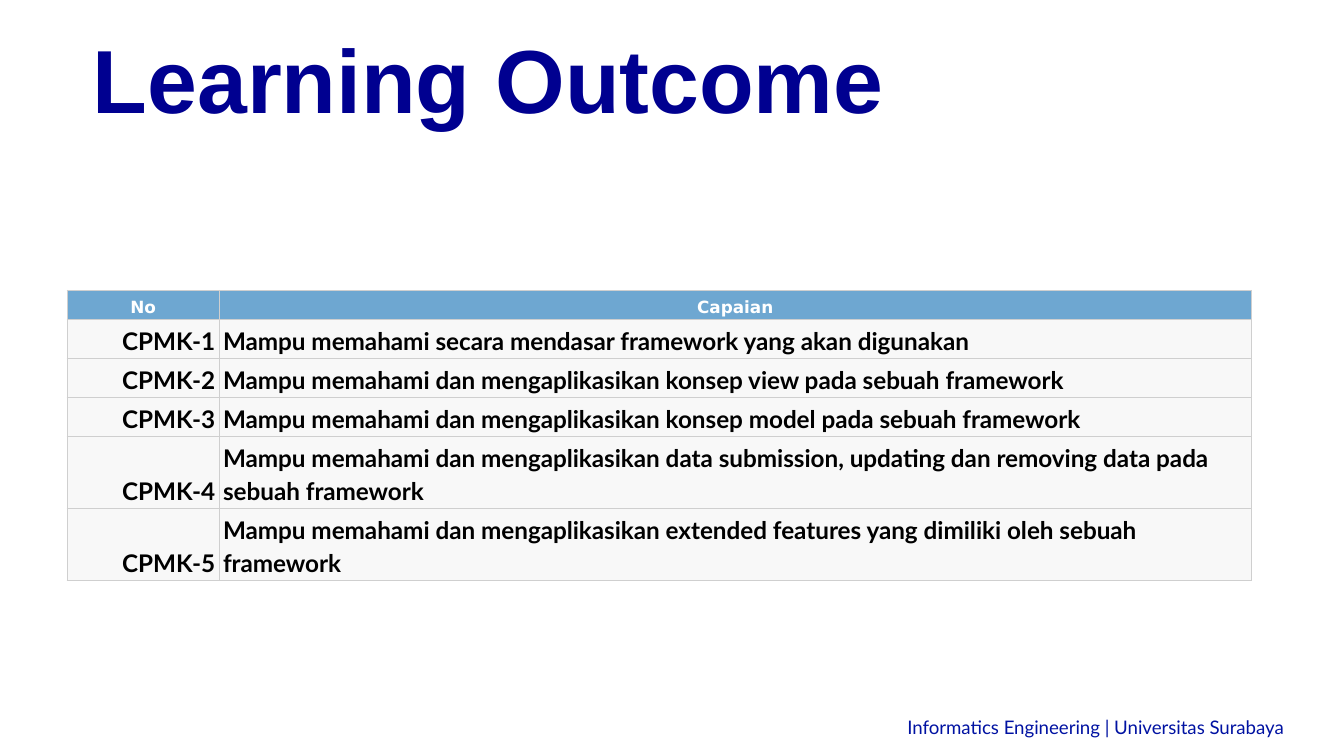
from lxml.etree import SubElement
from pptx import Presentation
from pptx.dml.color import RGBColor
from pptx.enum.text import MSO_ANCHOR, MSO_AUTO_SIZE, PP_ALIGN
from pptx.oxml.ns import qn
from pptx.util import Inches, Pt

NAVY = RGBColor(0x00, 0x00, 0x90)
FOOTER_BLUE = RGBColor(0x00, 0x12, 0xA2)
HEADER_BLUE = RGBColor(0x6E, 0xA7, 0xD1)
ROW_GREY = RGBColor(0xF8, 0xF8, 0xF8)
BORDER_GREY = RGBColor(0xCF, 0xCF, 0xCF)
WHITE = RGBColor(0xFF, 0xFF, 0xFF)
BLACK = RGBColor(0x00, 0x00, 0x00)

HEADER_FONT = {"name": "DejaVu Sans", "size": Pt(9), "bold": True}
OUTCOME_FONT = {"name": "Lato", "size": Pt(13), "bold": True}
CELL_FORMAT = {
    "vertical_anchor": MSO_ANCHOR.BOTTOM,
    "margin_left": Inches(0.03), "margin_right": Inches(0.03),
    "margin_top": Inches(0.02), "margin_bottom": Inches(0.02),
}
FRAME_FORMAT = {
    "word_wrap": True, "auto_size": MSO_AUTO_SIZE.NONE,
    "margin_left": Inches(0.1), "margin_right": Inches(0.1),
    "margin_top": Inches(0.1), "margin_bottom": Inches(0.1),
}

OUTCOMES = [
    "Mampu memahami secara mendasar framework yang akan digunakan",
    "Mampu memahami dan mengaplikasikan konsep view pada sebuah framework",
    "Mampu memahami dan mengaplikasikan konsep model pada sebuah framework",
    "Mampu memahami dan mengaplikasikan data submission, updating dan removing "
    "data pada sebuah framework",
    "Mampu memahami dan mengaplikasikan extended features yang dimiliki oleh "
    "sebuah framework",
]


def set_all(target, values):
    for key, value in values.items():
        setattr(target, key, value)


def write(frame, text, align, spacing, font, color):
    paragraph = frame.paragraphs[0]
    paragraph.alignment = align
    paragraph.line_spacing = spacing
    run = paragraph.add_run()
    run.text = text
    set_all(run.font, font)
    run.font.color.rgb = color


# Widescreen slide, 16:9
prs = Presentation()
prs.slide_width = Inches(10)
prs.slide_height = Inches(10 * 9 / 16)
slide = prs.slides.add_slide(prs.slide_layouts[5])

# Title
title = slide.shapes.title
set_all(title, {"left": Inches(0.59), "top": Inches(0.08),
                "width": Inches(6.61), "height": Inches(1)})
set_all(title.text_frame, FRAME_FORMAT)
title.text_frame.vertical_anchor = MSO_ANCHOR.BOTTOM
write(title.text_frame, "Learning Outcome", PP_ALIGN.LEFT, 1.0,
      {"name": "Arial", "size": Pt(48), "bold": True}, NAVY)

# Footer
footer = slide.shapes.add_textbox(Inches(6.35), Inches(5.28), Inches(3.3), Inches(0.24))
set_all(footer.text_frame, FRAME_FORMAT)
footer.text_frame.vertical_anchor = MSO_ANCHOR.MIDDLE
write(footer.text_frame, "Informatics Engineering | Universitas Surabaya",
      PP_ALIGN.RIGHT, 1.15, {"name": "Lato", "size": Pt(10)}, FOOTER_BLUE)

# Outcome table: rows grow to fit their text
rows = [("No", "Capaian")]
rows += [(f"CPMK-{number}", outcome) for number, outcome in enumerate(OUTCOMES, 1)]
outcome_table = slide.shapes.add_table(
    len(rows), 2, Inches(0.5), Inches(2.16), Inches(8.81), Inches(0.22 * len(rows))
).table
outcome_table.horz_banding = False
for column, width in zip(outcome_table.columns, (1.13, 7.68)):
    column.width = Inches(width)

for r, row in enumerate(rows):
    outcome_table.rows[r].height = Inches(0.22)
    for c, text in enumerate(row):
        cell = outcome_table.cell(r, c)
        set_all(cell, CELL_FORMAT)

        # Borders come before the fill in the cell properties
        properties = cell._tc.get_or_add_tcPr()
        for side in ("a:lnL", "a:lnR", "a:lnT", "a:lnB"):
            border = SubElement(properties, qn(side), w=str(Pt(0.6)))
            border_fill = SubElement(border, qn("a:solidFill"))
            SubElement(border_fill, qn("a:srgbClr"), val=str(BORDER_GREY))

        cell.fill.solid()
        if r == 0:
            cell.fill.fore_color.rgb = HEADER_BLUE
            write(cell.text_frame, text, PP_ALIGN.CENTER, 1.15, HEADER_FONT, WHITE)
        else:
            cell.fill.fore_color.rgb = ROW_GREY
            align = PP_ALIGN.RIGHT if c == 0 else PP_ALIGN.LEFT
            write(cell.text_frame, text, align, 1.15, OUTCOME_FONT, BLACK)

prs.save("out.pptx")
